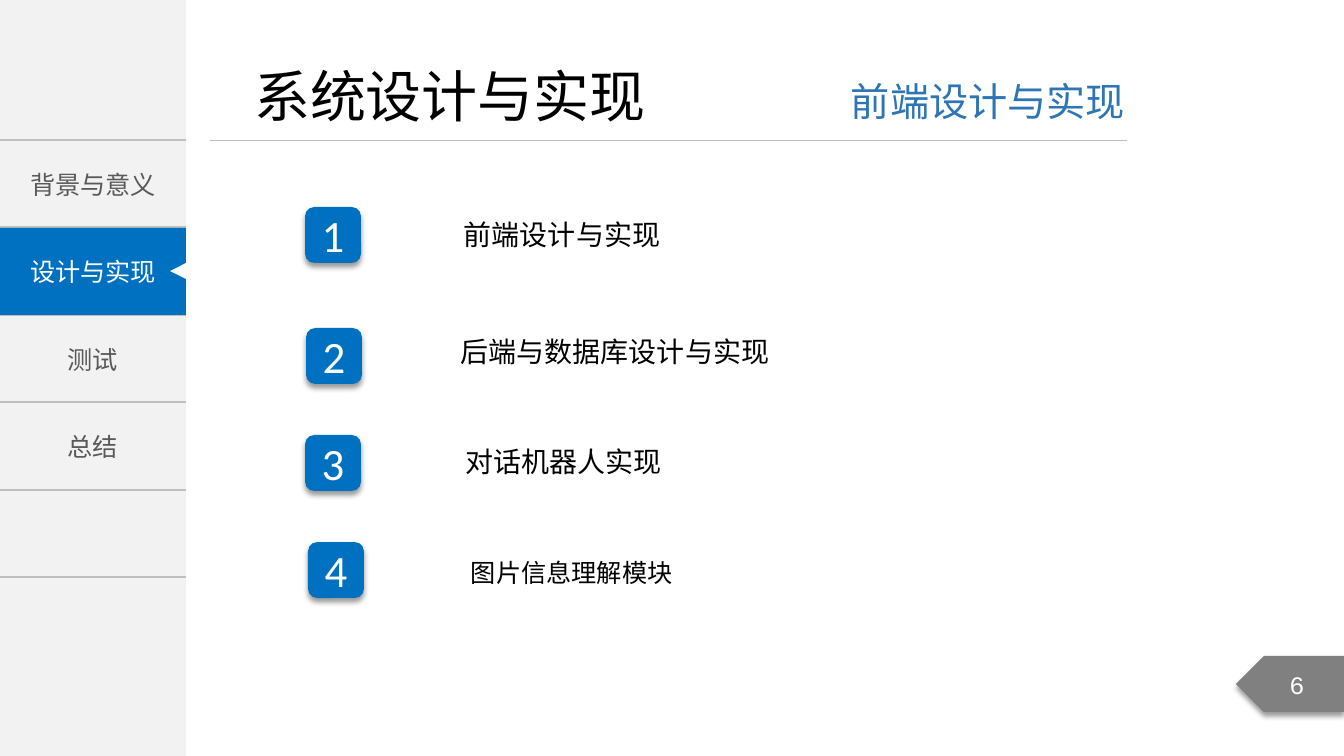
from lxml.etree import SubElement
from pptx import Presentation
from pptx.dml.color import RGBColor
from pptx.enum.shapes import MSO_CONNECTOR, MSO_SHAPE
from pptx.enum.text import MSO_ANCHOR, MSO_AUTO_SIZE, PP_ALIGN
from pptx.oxml.ns import qn
from pptx.util import Emu, Pt

EMU_PER_PX = 914400 / 100.8
COLORS = {
    "sidebar": "F2F2F2",
    "rule": "BFBFBF",
    "menu": "595959",
    "blue": "0070C0",
    "subtitle": "2E75B6",
    "tab": "808080",
    "white": "FFFFFF",
    "black": "000000",
}
CJK = "Noto Sans CJK SC"
LATIN = "Calibri"


def write(text_frame, text, size, font, color, align=PP_ALIGN.LEFT, anchor=MSO_ANCHOR.TOP):
    text_frame.word_wrap = True
    text_frame.auto_size = MSO_AUTO_SIZE.NONE
    text_frame.vertical_anchor = anchor
    paragraph = text_frame.paragraphs[0]
    paragraph.alignment = align
    run = paragraph.add_run()
    run.text = text
    run.font.size = Pt(size)
    run.font.name = font
    run.font.color.rgb = RGBColor.from_string(COLORS[color])
    SubElement(run.font._element, qn("a:ea"), typeface=CJK)


def add_block(kind, box, color, shadow=False):
    """Add a borderless filled shape, with a soft shadow below it on request."""
    shape = slide.shapes.add_shape(kind, *[Emu(round(v * EMU_PER_PX)) for v in box])
    shape.fill.solid()
    shape.fill.fore_color.rgb = RGBColor.from_string(COLORS[color])
    shape.line.fill.background()
    shape.shadow.inherit = False
    if shadow:
        effects = shape._element.spPr.find(qn("a:effectLst"))
        outer = SubElement(effects, qn("a:outerShdw"), blurRad=str(Pt(4)), dist=str(Pt(3)),
                           dir="5400000", algn="t", rotWithShape="0")
        tint = SubElement(outer, qn("a:srgbClr"), val=COLORS["black"])
        SubElement(tint, qn("a:alpha"), val="40000")
    return shape


presentation = Presentation()
presentation.slide_width = Emu(round(1344 * EMU_PER_PX))
presentation.slide_height = Emu(round(756 * EMU_PER_PX))
slide = presentation.slides.add_slide(presentation.slide_layouts[5])

# Sidebar menu
add_block(MSO_SHAPE.RECTANGLE, (0, 0, 186, 756), "sidebar")
menu_labels = ["背景与意义", "", "测试", "总结", ""]
row_heights = [87, 88, 87, 88, 87]
menu_box = [Emu(round(v * EMU_PER_PX)) for v in (0, 140, 186, sum(row_heights))]
menu_frame = slide.shapes.add_table(len(menu_labels), 1, *menu_box)
menu = menu_frame.table
menu.first_row = False
menu.horz_banding = False
for row, (label, height) in enumerate(zip(menu_labels, row_heights)):
    menu.rows[row].height = Emu(round(height * EMU_PER_PX))
    cell = menu.cell(row, 0)
    cell.vertical_anchor = MSO_ANCHOR.MIDDLE
    if label:
        write(cell.text_frame, label, 18, CJK, "menu", PP_ALIGN.CENTER)
        cell.vertical_anchor = MSO_ANCHOR.MIDDLE
    properties = cell._tc.get_or_add_tcPr()
    for side in ("lnL", "lnR"):
        border = SubElement(properties, qn(f"a:{side}"), w="0")
        SubElement(border, qn("a:noFill"))
    for side in ("lnT", "lnB"):
        border = SubElement(properties, qn(f"a:{side}"), w=str(Pt(1)))
        fill = SubElement(border, qn("a:solidFill"))
        SubElement(fill, qn("a:srgbClr"), val=COLORS["rule"])
    cell.fill.background()

current = add_block(MSO_SHAPE.RECTANGLE, (0, 228, 186, 87), "blue")
write(current.text_frame, "设计与实现", 18, CJK, "white", PP_ALIGN.CENTER, MSO_ANCHOR.MIDDLE)
pointer = add_block(MSO_SHAPE.ISOSCELES_TRIANGLE, (170, 263, 16, 16), "white")
pointer.rotation = 270

# Heading
title = slide.shapes.title
title.left, title.top, title.width, title.height = [
    Emu(round(v * EMU_PER_PX)) for v in (244, 56, 416, 78)]
write(title.text_frame, "系统设计与实现", 40, CJK, "black")
rule_ends = [Emu(round(v * EMU_PER_PX)) for v in (210, 140, 1127, 140)]
rule = slide.shapes.add_connector(MSO_CONNECTOR.STRAIGHT, *rule_ends)
rule.line.color.rgb = RGBColor.from_string(COLORS["rule"])
rule.line.width = Pt(0.5)
SubElement(rule._element.spPr, qn("a:effectLst"))

# Texts: wording, box, size, font, colour, alignment
texts = [
    ("前端设计与实现", (841, 72, 297, 57), 28, LATIN, "subtitle", PP_ALIGN.LEFT),
    ("前端设计与实现", (454, 213, 219, 44), 20, LATIN, "black", PP_ALIGN.LEFT),
    ("后端与数据库设计与实现", (437, 330, 356, 44), 20, CJK, "black", PP_ALIGN.CENTER),
    ("对话机器人实现", (454, 440, 219, 44), 20, CJK, "black", PP_ALIGN.CENTER),
    ("图片信息理解模块", (461, 552, 225, 40), 18, LATIN, "black", PP_ALIGN.LEFT),
]
for text, box, size, font, color, align in texts:
    text_box = slide.shapes.add_textbox(*[Emu(round(v * EMU_PER_PX)) for v in box])
    write(text_box.text_frame, text, size, font, color, align)

# Numbered badges
badge_corners = [(305, 207), (306, 328), (305, 435), (308, 542)]
for number, (left, top) in enumerate(badge_corners, start=1):
    badge = add_block(MSO_SHAPE.ROUNDED_RECTANGLE, (left, top, 56, 56), "blue", shadow=True)
    write(badge.text_frame, str(number), 32, LATIN, "white", PP_ALIGN.CENTER, MSO_ANCHOR.MIDDLE)

# Page number
page_tab = add_block(MSO_SHAPE.PENTAGON, (1236, 656, 108, 56), "tab", shadow=True)
page_tab._element.spPr.find(qn("a:xfrm")).set("flipH", "1")
write(page_tab.text_frame, "6", 18, "Courier New", "white", PP_ALIGN.CENTER, MSO_ANCHOR.MIDDLE)

presentation.save("out.pptx")
